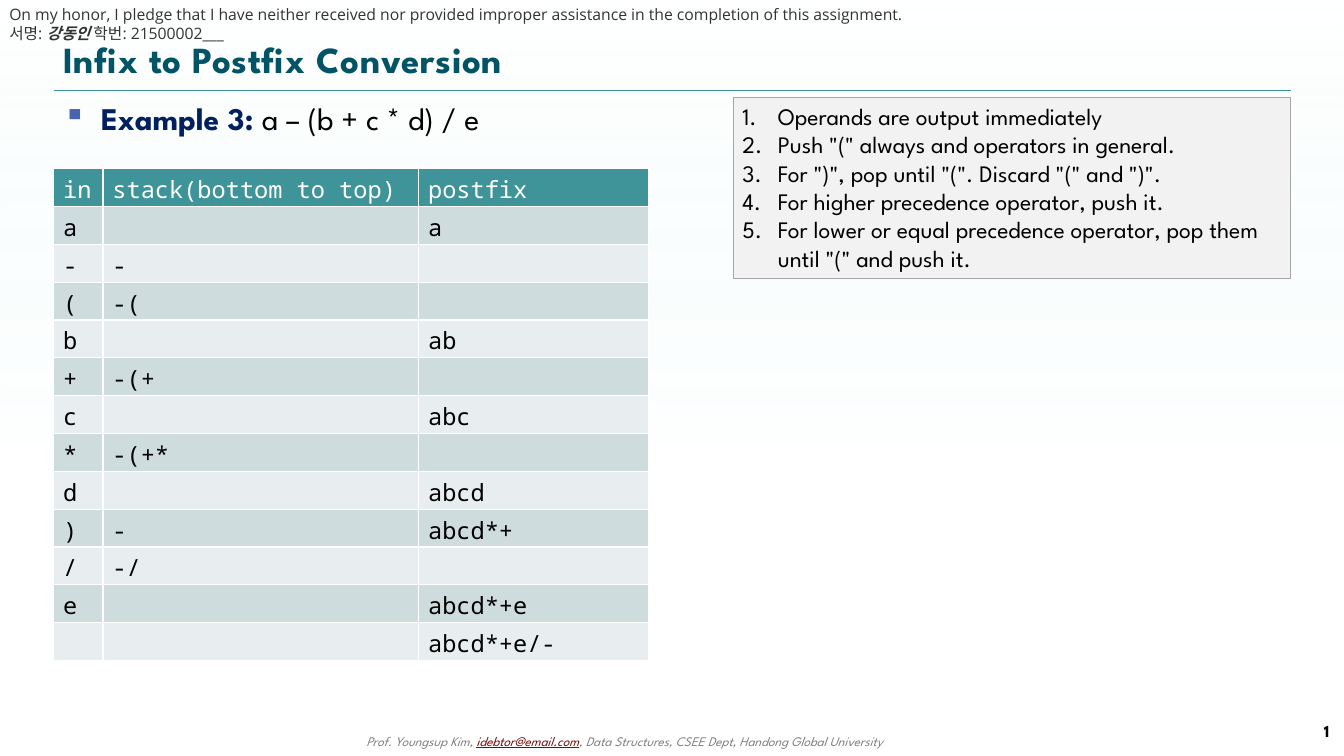
import pptx
import pptx.util
import pptx.dml.color
import pptx.enum.dml
import pptx.enum.shapes
import pptx.enum.text
import pptx.oxml.ns
import lxml.etree

Pt = pptx.util.Pt
RGB = pptx.dml.color.RGBColor
SHAPE = pptx.enum.shapes.MSO_SHAPE
ANCHOR = pptx.enum.text.MSO_ANCHOR
ALIGN = pptx.enum.text.PP_ALIGN
qn = pptx.oxml.ns.qn

WHITE = RGB(0xFF, 0xFF, 0xFF)
BLACK = RGB(0, 0, 0)
TEAL = RGB(0x3F, 0x94, 0x9A)
DEEP = RGB(0x00, 0x54, 0x66)
NAVY = RGB(0x00, 0x20, 0x60)
BLUE = RGB(0x47, 0x64, 0xB0)
MIST = RGB(0xD9, 0xF3, 0xF4)
BANDS = RGB(0xCF, 0xDC, 0xDE), RGB(0xE8, 0xEE, 0xEF)
PALE = RGB(0xF2, 0xF2, 0xF2)
SILVER = RGB(0xA6, 0xA6, 0xA6)
GRAY = RGB(0x80, 0x80, 0x80)
DARK = RGB(0x33, 0x33, 0x33)
RED = RGB(0x7C, 0x08, 0x08)

SPARTAN, MONO, OPEN = "League Spartan", "Noto Sans Mono", "Open Sans"
WIDE, HIGH = 1024, 576
LEFT, RIGHT = 41, 983.5

COLS = 37.5, 240.5, 175
STEPS = [
    ("in", "stack(bottom to top)", "postfix"),
    ("a", "", "a"),
    ("-", "-", ""),
    ("(", "-(", ""),
    ("b", "", "ab"),
    ("+", "-(+", ""),
    ("c", "", "abc"),
    ("*", "-(+*", ""),
    ("d", "", "abcd"),
    (")", "-", "abcd*+"),
    ("/", "-/", ""),
    ("e", "", "abcd*+e"),
    ("", "", "abcd*+e/-"),
]
RULES = [
    "Operands are output immediately",
    'Push "(" always and operators in general.',
    'For ")", pop until "(". Discard "(" and ")".',
    "For higher precedence operator, push it.",
    'For lower or equal precedence operator, pop them until "(" and push it.',
]


def style(run, face, size, color, **marks):
    font = run.font
    font.name, font.size = face, Pt(size)
    font.color.rgb = color
    for name, value in marks.items():
        setattr(font, name, value)


def add_runs(para, face, size, parts):
    """Each part is a text, a colour and a dict of font marks."""
    for text, color, marks in parts:
        run = para.add_run()
        run.text = text
        style(run, face, size, color, **marks)


def add_text(slide, box, anchor=ANCHOR.TOP):
    frame = slide.shapes.add_textbox(*map(Pt, box)).text_frame
    frame.word_wrap = True
    frame.vertical_anchor = anchor
    return frame


def add_rect(slide, box):
    rect = slide.shapes.add_shape(SHAPE.RECTANGLE, *map(Pt, box))
    rect.shadow.inherit = False
    return rect


def add_mark(para, indent, tag, color=None, **attrs):
    """Give a paragraph a hanging bullet or number."""
    props = para._p.get_or_add_pPr()
    props.set("marL", str(Pt(indent)))
    props.set("indent", str(-Pt(indent)))
    if color is not None:
        tint = lxml.etree.SubElement(props, qn("a:buClr"))
        lxml.etree.SubElement(tint, qn("a:srgbClr"), val=str(color))
    lxml.etree.SubElement(props, qn(tag), **attrs)


def add_wash(slide):
    """Cover the slide with a faint, see-through gradient."""
    rect = add_rect(slide, (0, 0, WIDE, HIGH))
    rect.line.fill.background()
    rect.fill.gradient()
    rect.fill.gradient_angle = 270
    stops = rect.fill.gradient_stops
    for stop, place, color in zip(stops, (0, 0.61), (MIST, WHITE)):
        stop.position = place
        stop.color.rgb = color
    tints = rect._element.spPr.iter(qn("a:srgbClr"))
    for tint, alpha in zip(tints, ("0", "40000")):
        lxml.etree.SubElement(tint, qn("a:alpha"), val=alpha)


def add_rule(slide, top):
    line = slide.shapes.add_connector(
        pptx.enum.shapes.MSO_CONNECTOR.STRAIGHT, Pt(LEFT), Pt(top), Pt(RIGHT), Pt(top))
    line.line.color.rgb = TEAL
    line.line.width = Pt(0.25)
    lxml.etree.SubElement(line._element.spPr, qn("a:effectLst"))


def add_edges(cell):
    props = cell._tc.get_or_add_tcPr()
    for spot, side in enumerate("LRTB"):
        edge = lxml.etree.Element(qn("a:ln" + side), w=str(Pt(1)))
        fill = lxml.etree.SubElement(edge, qn("a:solidFill"))
        lxml.etree.SubElement(fill, qn("a:srgbClr"), val=str(WHITE))
        props.insert(spot, edge)


def add_steps(slide):
    table = slide.shapes.add_table(
        len(STEPS), len(COLS), Pt(LEFT), Pt(128.5), Pt(sum(COLS)), Pt(28.8 * len(STEPS))).table
    for col, width in zip(table.columns, COLS):
        col.width = Pt(width)
    for r, step in enumerate(STEPS):
        for c, text in enumerate(step):
            cell = table.cell(r, c)
            cell.fill.solid()
            cell.fill.fore_color.rgb = BANDS[(r - 1) % 2] if r else TEAL
            add_edges(cell)
            if text:
                cell.text_frame.text = text
                run = cell.text_frame.paragraphs[0].runs[0]
                style(run, MONO, 18, BLACK if r else WHITE, bold=False)


def add_rules(slide):
    rect = add_rect(slide, (558.5, 74, 425, 138))
    rect.fill.solid()
    rect.fill.fore_color.rgb = PALE
    rect.line.color.rgb = SILVER
    rect.line.width = Pt(0.75)
    frame = rect.text_frame
    frame.vertical_anchor = ANCHOR.TOP
    frame.word_wrap = True
    frame.text = "\n".join(RULES)
    for para in frame.paragraphs:
        para.alignment = ALIGN.LEFT
        add_mark(para, 27, "a:buAutoNum", type="arabicPeriod")
        style(para.runs[0], SPARTAN, 18, BLACK)


def main():
    deck = pptx.Presentation()
    deck.slide_width, deck.slide_height = Pt(WIDE), Pt(HIGH)
    slide = deck.slides.add_slide(deck.slide_layouts[6])

    # Backdrop, title rule and footer
    add_wash(slide)
    add_rule(slide, 69)
    foot = add_text(slide, (272, 555, 482, 18)).paragraphs[0]
    add_runs(foot, SPARTAN, 10, [
        ("Prof. Youngsup Kim, ", GRAY, {"italic": True}),
        ("idebtor@email.com", RED, {"italic": True, "underline": True}),
        (", Data Structures, CSEE Dept, Handong Global University", GRAY, {"italic": True}),
    ])

    # Title
    title = add_text(slide, (LEFT, 23, RIGHT - LEFT, 43), ANCHOR.MIDDLE).paragraphs[0]
    add_runs(title, SPARTAN, 28, [("Infix to Postfix Conversion", DEEP, {"bold": True})])
    title.runs[0].font._element.set("spc", "50")

    # Example line
    lead = add_text(slide, (LEFT, 72, RIGHT - LEFT, 462)).paragraphs[0]
    lead.space_before = Pt(4.8)
    add_mark(lead, 29, "a:buChar", BLUE, char="▪")
    add_runs(lead, SPARTAN, 24, [
        ("Example 3: ", NAVY, {"bold": True}),
        ("a – (b + c * d) / e", BLACK, {}),
    ])

    # Conversion steps and rules
    add_steps(slide)
    add_rules(slide)

    # Page number
    page = add_text(slide, (930, 541.5, 90, 31), ANCHOR.MIDDLE).paragraphs[0]
    page.alignment = ALIGN.RIGHT
    add_runs(page, SPARTAN, 12.8, [("1", BLACK, {"bold": True})])

    # Honor pledge
    pledge = add_text(slide, (0, 0, WIDE, 36), ANCHOR.MIDDLE)
    add_runs(pledge.paragraphs[0], OPEN, 12, [
        ("On my honor, I pledge that I have neither received nor provided "
         "improper assistance in the completion of this assignment.", DARK, {}),
    ])
    add_runs(pledge.add_paragraph(), OPEN, 12, [
        ("서명: ", DARK, {}),
        ("강동인", DARK, {"bold": True, "italic": True}),
        (" 학번: 21500002___", DARK, {}),
    ])

    deck.save("out.pptx")


if __name__ == "__main__":
    main()
